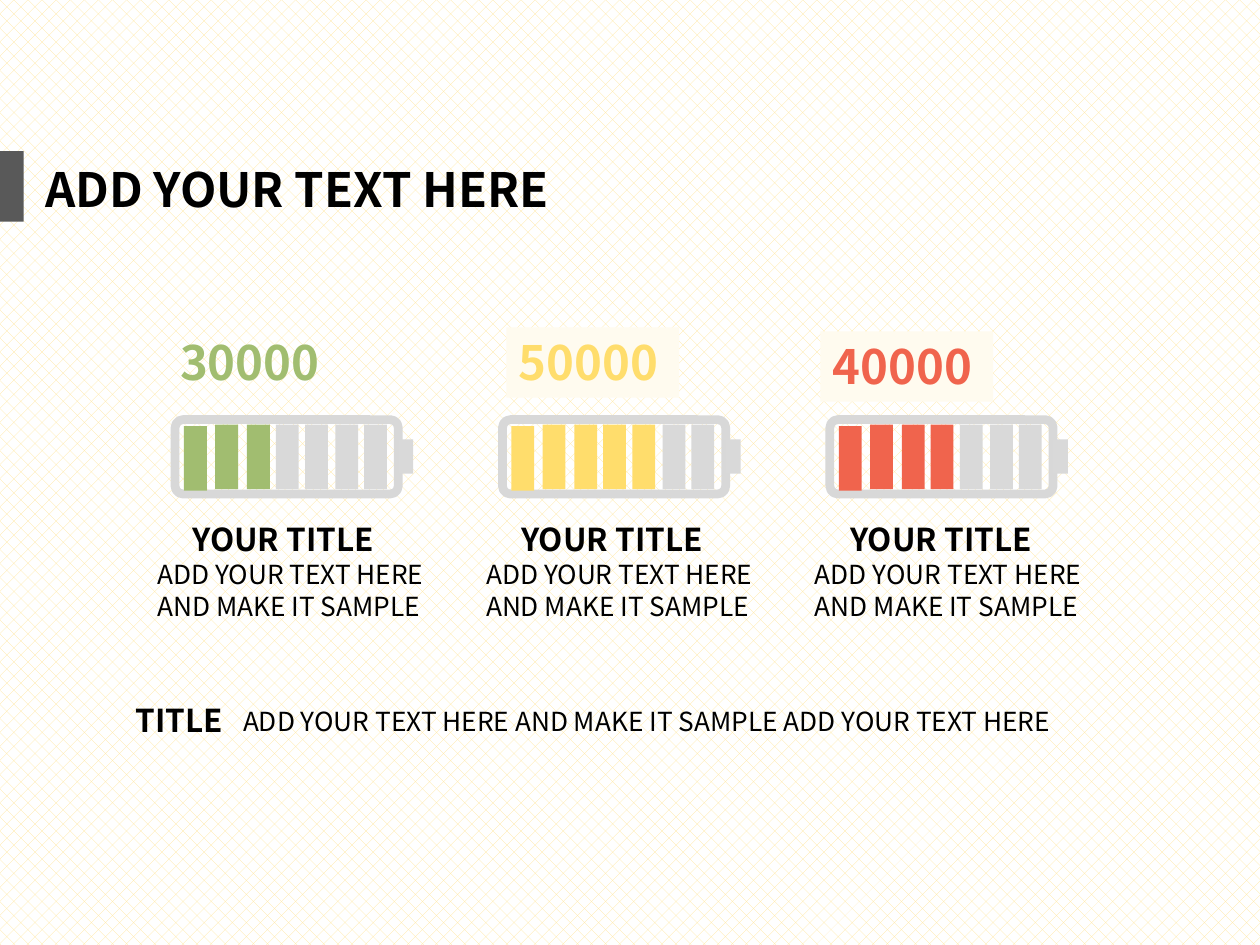
"""Build a slide with three battery gauges, their captions and a summary line."""
from pptx import Presentation
from pptx import util as u
from pptx.dml.color import RGBColor
from pptx.enum import dml, shapes, text

FONT = "Noto Sans CJK SC"
GREY = "D9D9D9"
BLACK = "000000"


def add_block(parent, left, top, width, height, fill=None, line=None, kind="RECTANGLE"):
    sp = parent.add_shape(shapes.MSO_SHAPE[kind], u.Cm(left), u.Cm(top), u.Cm(width), u.Cm(height))
    sp.shadow.inherit = False
    for fmt, color in ((sp.fill, fill), (sp.line.fill, line)):
        if color:
            fmt.solid()
            fmt.fore_color.rgb = RGBColor.from_string(color)
        else:
            fmt.background()
    return sp


def add_text(parent, content, left, top, width, height, size=15, color=BLACK,
             bold=False, wrap=False, fill=None):
    sp = parent.add_textbox(u.Cm(left), u.Cm(top), u.Cm(width), u.Cm(height))
    if fill:
        sp.fill.solid()
        sp.fill.fore_color.rgb = RGBColor.from_string(fill)
    tf = sp.text_frame
    tf.word_wrap = wrap
    tf.auto_size = text.MSO_AUTO_SIZE.SHAPE_TO_FIT_TEXT
    r = tf.paragraphs[0].add_run()
    r.text = content
    r.font.name = FONT
    r.font.size = u.Pt(size)
    r.font.bold = bold
    r.font.color.rgb = RGBColor.from_string(color)


prs = Presentation()
prs.slide_width, prs.slide_height = u.Cm(25.4), u.Cm(19.05)
s = prs.slides.add_slide(prs.slide_layouts[6])
bg = s.background.fill
bg.patterned()
bg.pattern = dml.MSO_PATTERN.PERCENT_25
bg.fore_color.rgb = RGBColor.from_string("FFE699")
bg.back_color.rgb = RGBColor.from_string("FFFFFF")

add_block(s.shapes, 0, 3.05, 0.48, 1.42, fill="595959")
add_text(s.shapes, "ADD YOUR TEXT HERE", 0.66, 3.1, 11.46, 1.42, size=27, bold=True)

gauges = [
    ("30000", "A1BD70", 3, 3.38, 6.6, None),
    ("50000", "FFDD6C", 5, 10.21, 6.6, "FFFBEF"),
    ("40000", "F0644D", 4, 16.54, 6.68, "FFFBEF"),
]
bar_offsets = [0.18, 0.81, 1.45, 2.03, 2.62, 3.23, 3.81]

for i, (number, color, level, number_left, number_top, number_fill) in enumerate(gauges):
    left = 3.53 + 6.6 * i
    battery = s.shapes.add_group_shape().shapes
    case = add_block(battery, left, 8.46, 4.5, 1.5, line="D8D8D8", kind="ROUNDED_RECTANGLE")
    case.adjustments[0] = 0.107
    case.line.width = u.Pt(5)
    add_block(battery, left + 4.5, 8.86, 0.3, 0.69, fill=GREY)
    for j, offset in enumerate(bar_offsets):
        add_block(battery, left + offset, 8.56 if j else 8.59, 0.46, 1.3,
                  fill=color if j < level else GREY)

    caption_left = 2.92 + 6.63 * i
    caption = s.shapes.add_group_shape().shapes
    add_text(caption, "ADD YOUR TEXT HERE AND MAKE IT SAMPLE",
             caption_left, 11.13, 6.4, 1.55, wrap=True)
    add_text(caption, "YOUR TITLE", caption_left + 0.71, 10.36, 4.32, 1.02, size=18, bold=True)
    add_text(s.shapes, number, number_left, number_top, 3.48, 1.42,
             size=27, color=color, bold=True, fill=number_fill)

summary = s.shapes.add_group_shape().shapes
add_text(summary, "ADD YOUR TEXT HERE AND MAKE IT SAMPLE ADD YOUR TEXT HERE",
         4.65, 14.1, 18.49, 0.89, wrap=True)
add_text(summary, " TITLE", 2.34, 14, 2.44, 1.02, size=18, bold=True)

prs.save("out.pptx")
